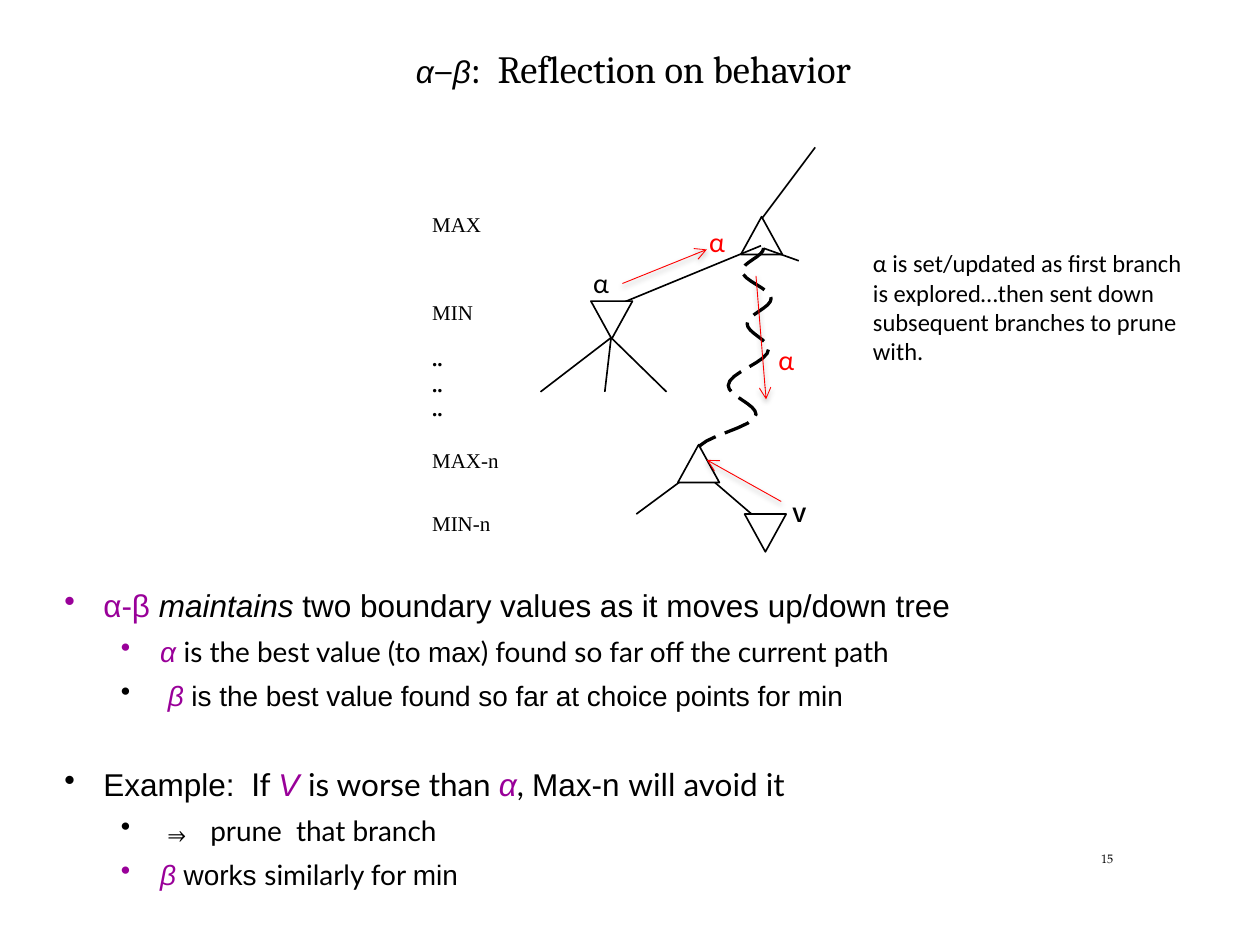
import math

import pptx
import pptx.dml.color
import pptx.enum.dml
import pptx.enum.shapes
import pptx.enum.text
import pptx.oxml
import pptx.util
from pptx.oxml.ns import nsdecls, qn

PX = 9144  # 100 px to the inch
BLACK, WHITE, RED, PURPLE = "000000", "FFFFFF", "FF0000", "990099"
SHAPES = pptx.enum.shapes.MSO_SHAPE
SHADOW = ('<a:outerShdw blurRad="39370" dist="20320" dir="5400000" rotWithShape="0">'
          '<a:srgbClr val="000000"><a:alpha val="38000"/></a:srgbClr></a:outerShdw>')


def rgb(value):
    return pptx.dml.color.RGBColor.from_string(value)


def write(para, text, font="Arial", size=12, color=BLACK, bold=False, italic=False):
    """Add one formatted span to a paragraph."""
    span = para.add_run()
    span.text = text
    span.font.name, span.font.size = font, pptx.util.Pt(size)
    span.font.bold, span.font.italic = bold, italic
    span.font.color.rgb = rgb(color)


class Slide:
    def __init__(self, deck):
        self.page = deck.slides.add_slide(deck.slide_layouts[6])
        self.items = self.page.shapes
        self.thin = 0.93
        self.tri_width, self.tri_height = 33, 30

    def frame(self, x, y, width, height, inset=False, wrap=True):
        box = self.items.add_textbox(x * PX, y * PX, width * PX, height * PX)
        frame = box.text_frame
        frame.word_wrap = wrap
        if not inset:
            frame.margin_left = frame.margin_right = 0
            frame.margin_top = frame.margin_bottom = 0
        return frame

    def para(self, frame, first=False, before=0, spacing=None, left=0, hang=0, bullet=False):
        para = frame.paragraphs[0] if first else frame.add_paragraph()
        para.space_before = pptx.util.Pt(before)
        if spacing:
            para.line_spacing = pptx.util.Pt(spacing)
        props = para._p.get_or_add_pPr()
        props.set("marL", str(left * PX))
        props.set("indent", str(-hang * PX))
        if bullet:
            props.append(pptx.oxml.parse_xml(f'<a:buChar {nsdecls("a")} char="•"/>'))
        return para

    def label(self, text, x, y, width, height, inset=False, wrap=True, **style):
        frame = self.frame(x, y, width, height, inset, wrap)
        para = self.para(frame, first=True, left=0 if inset else 1)
        for index, line in enumerate(text.split("\n")):
            if index:
                para.add_line_break()
            write(para, line, **style)

    def line(self, start, end, color=BLACK, width=None, arrow=False):
        ends = [value * PX for value in (*start, *end)]
        link = self.items.add_connector(pptx.enum.shapes.MSO_CONNECTOR.STRAIGHT, *ends)
        link.line.color.rgb = rgb(color)
        link.line.width = pptx.util.Pt(width or self.thin)
        if arrow:
            link.line._get_or_add_ln().append(
                pptx.oxml.parse_xml(f'<a:tailEnd {nsdecls("a")} type="arrow"/>'))
        effects = SHADOW if arrow else ""
        link._element.find(qn("p:spPr")).append(
            pptx.oxml.parse_xml(f'<a:effectLst {nsdecls("a")}>{effects}</a:effectLst>'))

    def triangle(self, x, y, up=True, fill=WHITE):
        kind = SHAPES.ISOSCELES_TRIANGLE if up else SHAPES.FLOWCHART_MERGE
        node = self.items.add_shape(
            kind, x * PX, y * PX, self.tri_width * PX, self.tri_height * PX)
        node.shadow.inherit = False
        if fill:
            node.fill.solid()
            node.fill.fore_color.rgb = rgb(fill)
        else:
            node.fill.background()
        node.line.color.rgb = rgb(BLACK)
        node.line.width = pptx.util.Pt(self.thin)

    def squiggle(self, turns, steps=8):
        """Dashed wave that eases sideways from one turning point to the next."""
        points = [turns[0]]
        for (x0, y0), (x1, y1) in zip(turns, turns[1:]):
            for step in range(1, steps + 1):
                part = step / steps
                ease = (1 - math.cos(math.pi * part)) / 2
                points.append((x0 + (x1 - x0) * ease, y0 + (y1 - y0) * part))
        points = [(round(x * PX), round(y * PX)) for x, y in points]
        builder = self.items.build_freeform(*points[0])
        builder.add_line_segments(points[1:], close=False)
        wave = builder.convert_to_shape()
        wave.shadow.inherit = False
        wave.fill.background()
        wave.line.color.rgb = rgb(BLACK)
        wave.line.width = pptx.util.Pt(1.86)
        wave.line.dash_style = pptx.enum.dml.MSO_LINE.LONG_DASH


def main():
    deck = pptx.Presentation()
    deck.slide_width, deck.slide_height = 1000 * PX, 750 * PX
    slide = Slide(deck)

    # Title and page number
    title = slide.para(slide.frame(117, 42, 768, 32), first=True, spacing=21.8, left=213)
    greek = dict(size=18, italic=True)
    heading = dict(font="Cambria", size=22)
    write(title, "α", **greek)
    write(title, "–", **heading)
    write(title, "β", **greek)
    write(title, ":  Reflection on behavior", **heading)
    slide.label("15", 873, 676, 16, 11, font="TeX Gyre Pagella", size=7)

    # Bullets: level, space before, spans
    key = dict(color=PURPLE, italic=True)
    lato = dict(font="Lato")
    bullets = [
        (0, 6, [("α-β ", dict(color=PURPLE)), ("maintains", dict(italic=True)),
                (" two boundary values as it moves up/down tree", {})]),
        (1, 6, [("α ", key), ("is the best value (to ", lato), ("max", {}),
                (") found so far off the current path", lato)]),
        (1, 6, [(" ", {}), ("β", key),
                (" is the best value found so far at choice points for min", {})]),
        (0, 30.4, [("Example: ", {}), (" If ", lato), ("V ", key), ("is worse than ", lato),
                   ("α", key), (", ", lato), ("Max-n ", {}), ("will avoid it", lato)]),
        (1, 6, [("⇒ ", dict(font="Noto Sans Mono")), ("prune  that branch", lato)]),
        (1, 6, [("β ", key), ("works ", {}), ("similarly for ", lato), ("min", {})]),
    ]
    body = slide.frame(50, 465, 792, 246)
    for index, (level, before, spans) in enumerate(bullets):
        para = slide.para(body, first=index == 0, before=before,
                          left=32 + 45 * level, hang=31, bullet=True)
        para.level = level
        for text, style in spans:
            write(para, text, size=18 - 2 * level, **style)

    # Search tree: path, branches, nodes
    slide.squiggle([(606, 197), (589, 215), (612, 237), (593, 257),
                    (610, 277), (578, 306), (600, 329), (554, 357)])
    branches = [
        ((605, 173), (647, 117)), ((606, 197), (634, 207)), ((604, 195), (485, 244)),
        ((485, 268), (429, 311)), ((485, 268), (480, 311)), ((485, 268), (529, 311)),
        ((551, 374), (505, 408)), ((557, 374), (600, 411)),
    ]
    for start, end in branches:
        slide.line(start, end)
    slide.triangle(588, 172, fill=None)
    slide.triangle(469, 239, up=False)
    slide.triangle(538, 353)
    slide.triangle(591, 408, up=False)

    # Level names
    serif = dict(font="Times New Roman", size=12)
    slide.label("MAX", 342, 168, 41, 20, **serif)
    levels = slide.frame(342, 238, 61, 140)
    rows = [("MIN", 0, None), ("..", 12, None), ("..", 0.9, 13.7),
            ("..", 0, 13.7), ("MAX-n", 15.2, None)]
    for index, (text, before, spacing) in enumerate(rows):
        para = slide.para(levels, first=index == 0, before=before, spacing=spacing, left=1)
        write(para, text, bold=text == "..", **serif)
    slide.label("MIN-n", 342, 405, 53, 20, **serif)
    slide.label("V", 628, 398, 14, 20, bold=True)

    # Values passed along the tree
    for x, y, color in [(461, 206, BLACK), (553, 173, RED), (608, 267, RED)]:
        slide.label("α", x, y, 33, 37, inset=True, wrap=False,
                    font="Calibri", size=16, color=color)
    for start, end in [((494, 225), (561, 198)), ((620, 398), (561, 365)),
                       ((600, 219), (608, 317))]:
        slide.line(start, end, color=RED, width=0.5, arrow=True)

    # Side note
    slide.label("α is set/updated as first branch\nis explored…then sent down\n"
                "subsequent branches to prune with.",
                683, 192, 300, 104, inset=True, font="Calibri", size=14)

    deck.save("out.pptx")


if __name__ == "__main__":
    main()
